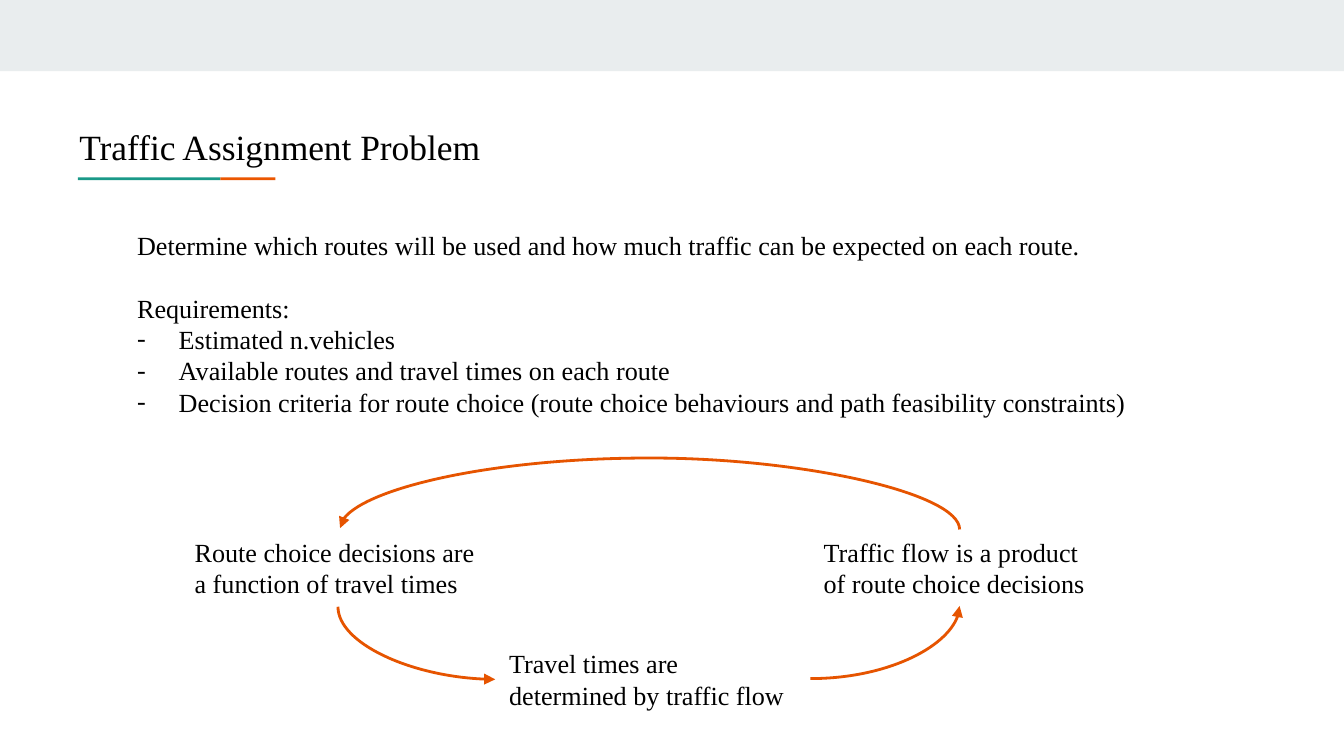
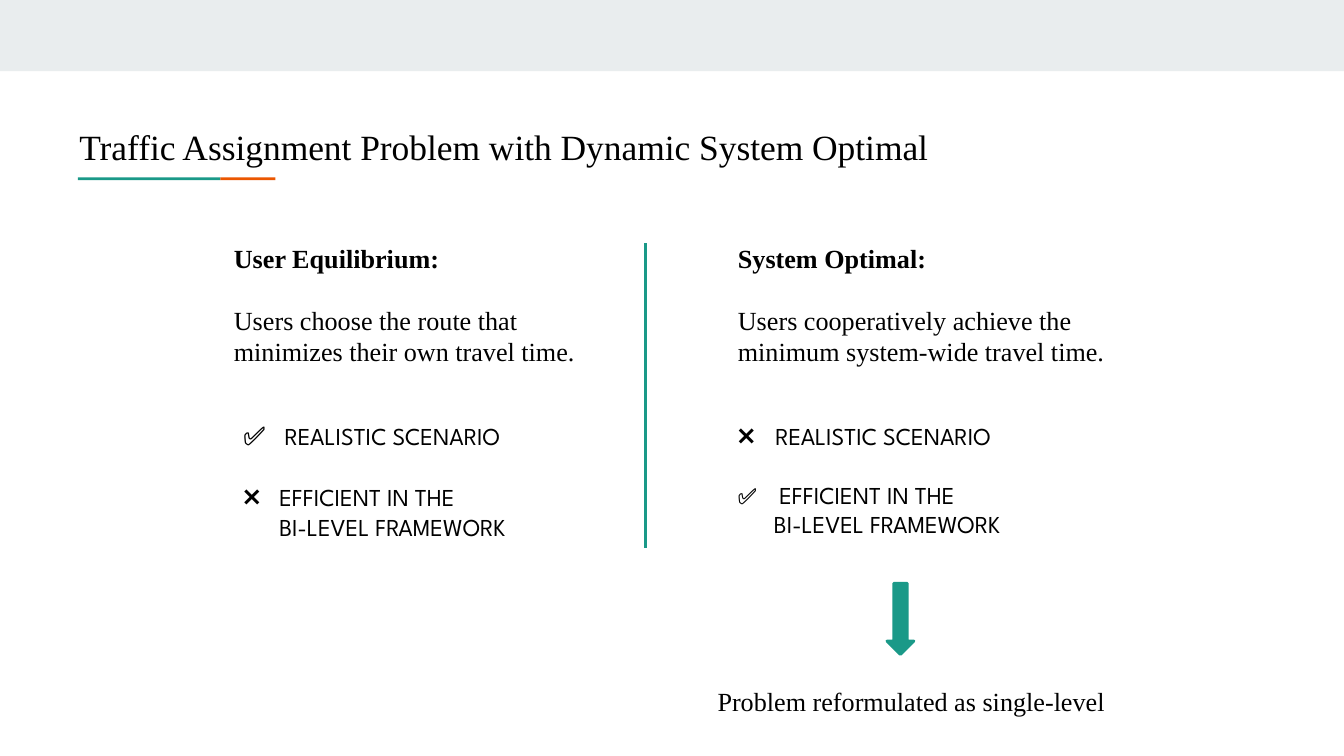
from collections import namedtuple
from lxml.etree import SubElement
from pptx import Presentation
from pptx.dml.color import RGBColor
from pptx.enum.shapes import MSO_CONNECTOR, MSO_SHAPE
from pptx.enum.text import MSO_ANCHOR, MSO_AUTO_SIZE, PP_ALIGN
from pptx.oxml.ns import qn
from pptx.util import Inches, Pt

SERIF, SANS = "Times New Roman", "League Spartan"
INK, BAND, TEAL, RUST, ORANGE = "000000", "E9EDEE", "1A9988", "EB5600", "E65400"
YES, NO = "✅", "❌"

Run = namedtuple("Run", "text size font bold", defaults=(14, SERIF, False))
Para = namedtuple("Para", "runs gap left first bullet", defaults=(0, 0, 0, None))

RULES = [(0, 0, 10, 0.53, BAND), (0.58, 1.32, 1.06, 0.02, TEAL), (1.64, 1.32, 0.41, 0.02, RUST)]

LOOP = {
    "title": "Traffic Assignment Problem",
    "goal": "Determine which routes will be used and how much traffic can be expected on each route.",
    "head": "Requirements:",
    "needs": [
        "Estimated n.vehicles",
        "Available routes and travel times on each route",
        "Decision criteria for route choice (route choice behaviours and path feasibility constraints)",
    ],
    "steps": [
        ("Route choice decisions are a function of travel times", 1.35, 3.94, 2.34),
        ("Travel times are determined by traffic flow", 3.69, 4.77, 2.34),
        ("Traffic flow is a product of route choice decisions", 6.03, 3.94, 2.22),
    ],
    "curves": [
        ((2.83, 4.2, 0.54, 1.17), 270, "flipH", "curvedConnector2", None),
        ((6.03, 4.51, 1.11, 0.54), 0, "flipV", "curvedConnector2", None),
        ((4.83, 1.63, 0.01, 4.61), 270, "flipV", "curvedConnector3", 5400000),
    ],
}

MODES = {
    "title": "Traffic Assignment Problem with Dynamic System Optimal",
    "columns": [
        {"head": "User Equilibrium:",
         "text": "Users choose the route that minimizes their own travel time.",
         "box": (1.64, 1.7, 3.16, 1.38), "left": 1.71,
         "marks": [(YES, 14, 0.31), (NO, 14, 0.27)]},
        {"head": "System Optimal:",
         "text": "Users cooperatively achieve the minimum system-wide travel time.",
         "box": (5.39, 1.7, 2.97, 1.14), "left": 5.39,
         "marks": [(NO, 14, 0.28), (YES, 12, 0.31)]},
    ],
    "traits": ["REALISTIC SCENARIO", "EFFICIENT IN THE"],
    "more": "BI-LEVEL FRAMEWORK",
    "result": "Problem reformulated as single-level",
}


def color(code):
    """Turn a hex string into a colour."""
    return RGBColor.from_string(code)


def write(shape, box, paras, inset=0.1):
    """Place a text shape and fill it with formatted paragraphs."""
    shape.left, shape.top, shape.width, shape.height = map(Inches, box)
    frame = shape.text_frame
    frame.word_wrap = True
    frame.auto_size = MSO_AUTO_SIZE.NONE
    frame.vertical_anchor = MSO_ANCHOR.TOP
    frame.margin_left = frame.margin_right = Inches(0.1)
    frame.margin_top = frame.margin_bottom = Inches(inset)
    for i, para in enumerate(paras):
        line = frame.add_paragraph() if i else frame.paragraphs[0]
        line.alignment = PP_ALIGN.LEFT
        line.space_before = Pt(para.gap)
        props = line._p.get_or_add_pPr()
        props.set("marL", str(Inches(para.left)))
        props.set("indent", str(Inches(para.first)))
        if para.bullet:
            SubElement(props, qn("a:buFont"), typeface=SERIF)
            SubElement(props, qn("a:buChar"), char=para.bullet)
        else:
            SubElement(props, qn("a:buNone"))
        for part in para.runs:
            run = line.add_run()
            run.text = part.text
            font = run.font
            font.name, font.size, font.bold = part.font, Pt(part.size), part.bold
            font.color.rgb = color(INK)


def label(slide, box, paras):
    """Add a plain text box."""
    write(slide.shapes.add_textbox(0, 0, 0, 0), box, paras, 0.05)


def block(slide, kind, box, code):
    """Add a filled shape without outline."""
    shape = slide.shapes.add_shape(kind, *map(Inches, box))
    shape.shadow.inherit = False
    shape.fill.solid()
    shape.fill.fore_color.rgb = color(code)
    shape.line.fill.background()
    return shape


def wire(slide, kind, box, code):
    """Add a connector across a box."""
    x, y, w, h = box
    line = slide.shapes.add_connector(kind, *map(Inches, (x, y, x + w, y + h)))
    line.line.color.rgb = color(code)
    line.line.width = Pt(1.5)
    SubElement(line._element.spPr, qn("a:effectLst"))
    return line


def curve(slide, box, turn, flip, kind, bend):
    """Add a curved arrow, turned and flipped."""
    line = wire(slide, MSO_CONNECTOR.CURVE, box, ORANGE)
    props = line._element.spPr
    frame = props.find(qn("a:xfrm"))
    frame.set("rot", str(turn * 60000))
    frame.set(flip, "1")
    shape = props.find(qn("a:prstGeom"))
    shape.set("prst", kind)
    if bend:
        SubElement(shape.find(qn("a:avLst")), qn("a:gd"), name="adj1", fmla=f"val {bend}")
    SubElement(props.find(qn("a:ln")), qn("a:tailEnd"), type="triangle")


def start(deck, layout, title):
    """Add a slide with band, title and underline."""
    slide = deck.slides.add_slide(deck.slide_layouts[layout])
    for *box, code in RULES:
        block(slide, MSO_SHAPE.RECTANGLE, box, code)
    write(slide.shapes.title, (0.49, 0.83, 8.76, 0.52), [Para([Run(title, 19)])])
    return slide


def draw_loop(deck):
    """Draw the problem and its feedback loop."""
    slide = start(deck, 1, LOOP["title"])
    paras = [Para([Run(LOOP["goal"])]), Para([Run(LOOP["head"])], 16.5)]
    paras += [Para([Run(need)], 0, 0.31, -0.31, "-") for need in LOOP["needs"]]
    write(slide.placeholders[1], (0.92, 1.61, 8.16, 1.62), paras)
    for text, x, y, w in LOOP["steps"]:
        label(slide, (x, y, w, 0.57), [Para([Run(text)])])
    for spec in LOOP["curves"]:
        curve(slide, *spec)


def draw_modes(deck):
    """Draw the two modes side by side."""
    slide = start(deck, 3, MODES["title"])
    for i, col in enumerate(MODES["columns"], 1):
        write(slide.placeholders[i], col["box"],
              [Para([Run(col["head"], bold=True)]), Para([Run(col["text"])], 16.5)])
        rows = zip(col["marks"], MODES["traits"])
        paras = [Para([Run(mark + "\t", size), Run(text, 13, SANS)], 16 * k, hang, -hang)
                 for k, ((mark, size, hang), text) in enumerate(rows)]
        paras.append(Para([Run(MODES["more"], 13, SANS)], 0, 0.27))
        label(slide, (col["left"], 3.07, 2.62, 1), paras)
    wire(slide, MSO_CONNECTOR.STRAIGHT, (4.8, 1.81, 0, 2.27), TEAL)
    arrow = block(slide, MSO_SHAPE.DOWN_ARROW, (6.6, 4.34, 0.2, 0.53), TEAL)
    arrow.line.color.rgb = color(TEAL)
    arrow.line.width = Pt(1.5)
    label(slide, (5.24, 5.05, 3.12, 0.34), [Para([Run(MODES["result"])])])


def main():
    """Build and save the deck."""
    deck = Presentation()
    deck.slide_width = Inches(10)
    deck.slide_height = deck.slide_width * 9 // 16
    draw_loop(deck)
    draw_modes(deck)
    deck.save("out.pptx")


if __name__ == "__main__":
    main()
